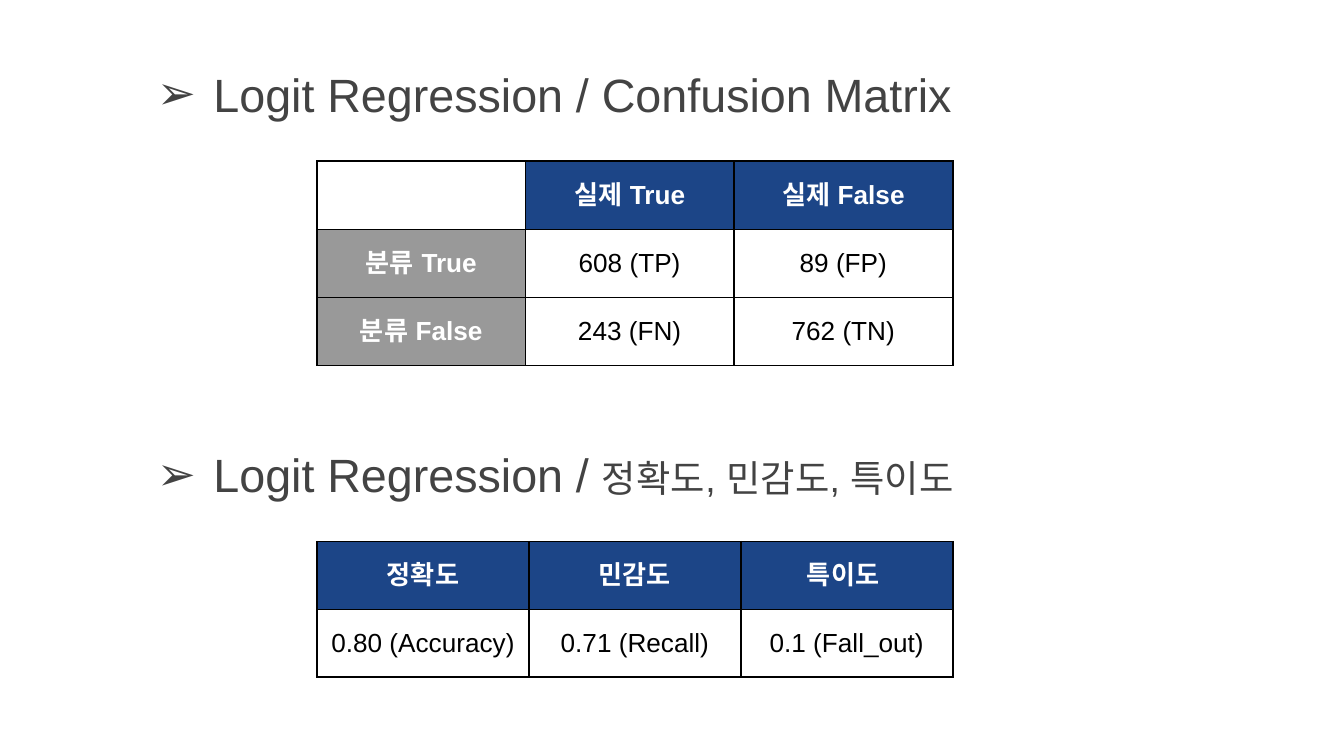
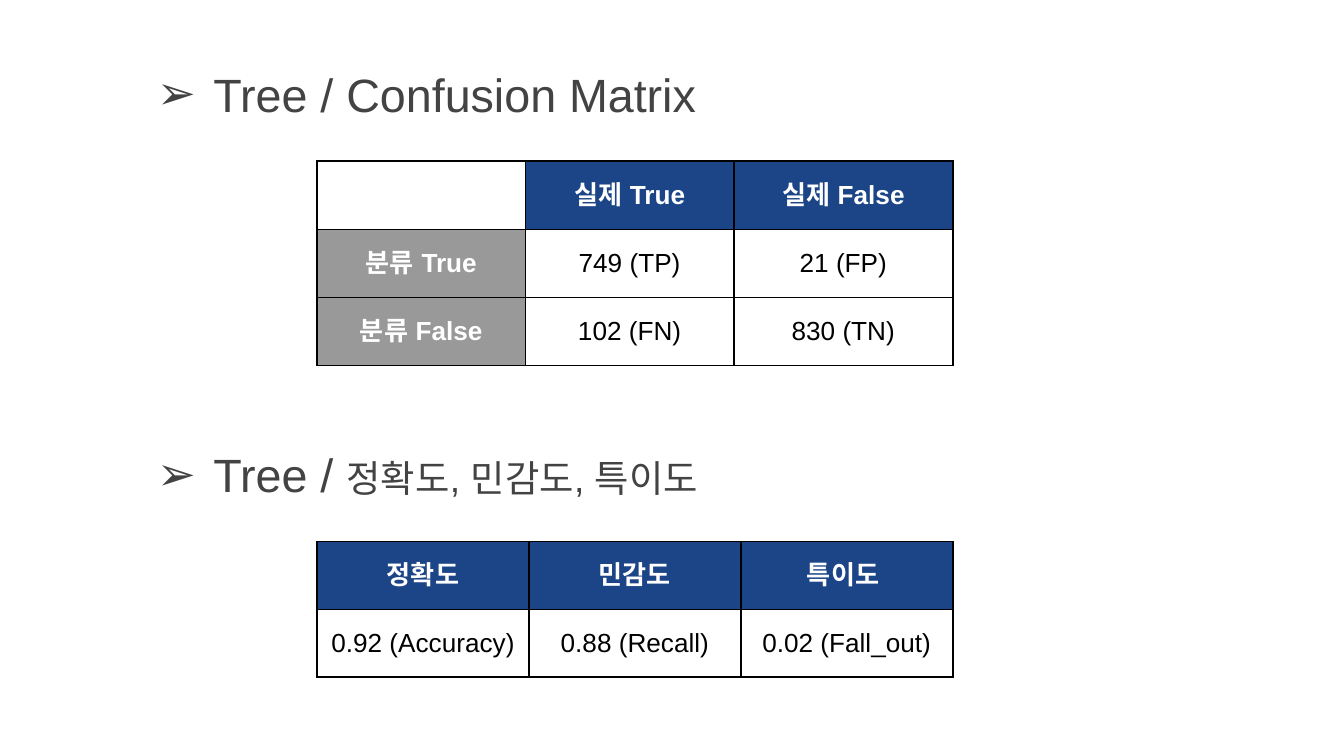
from dataclasses import dataclass

from lxml.etree import SubElement
from pptx import Presentation
from pptx.dml.color import RGBColor
from pptx.enum.text import MSO_ANCHOR, PP_ALIGN
from pptx.oxml import parse_xml
from pptx.oxml.ns import nsdecls, qn
from pptx.slide import Slide
from pptx.table import _Cell as TableCell
from pptx.text.text import Font
from pptx.util import Inches, Length, Pt


@dataclass(frozen=True)
class Theme:
    font: str = "Arial"
    heading: RGBColor = RGBColor(0x43, 0x43, 0x43)
    navy: RGBColor = RGBColor(0x1C, 0x45, 0x87)
    gray: RGBColor = RGBColor(0x99, 0x99, 0x99)
    white: RGBColor = RGBColor(0xFF, 0xFF, 0xFF)
    black: RGBColor = RGBColor(0, 0, 0)
    heading_size: Length = Pt(25)
    metrics_size: Length = Pt(20)
    cell_size: Length = Pt(14)
    border: Length = Pt(1)


THEME = Theme()


@dataclass(frozen=True)
class CellStyle:
    fill: RGBColor | None
    text: RGBColor
    bold: bool


COLUMN_HEAD = CellStyle(THEME.navy, THEME.white, True)
ROW_HEAD = CellStyle(THEME.gray, THEME.white, True)
CORNER = CellStyle(THEME.white, THEME.black, False)
VALUE = CellStyle(None, THEME.black, False)


@dataclass(frozen=True)
class Heading:
    top: Length
    width: Length
    text: str
    metrics: str = ""


@dataclass(frozen=True)
class Grid:
    top: Length
    height: Length
    column_widths: tuple[Length, ...]
    rows: list[list[str]]
    row_heads: bool = False

    def style_at(self, row: int, column: int) -> CellStyle:
        labelled = self.row_heads and column == 0
        if row == 0:
            return CORNER if labelled else COLUMN_HEAD
        return ROW_HEAD if labelled else VALUE


@dataclass(frozen=True)
class ModelResult:
    name: str
    tp: int
    fp: int
    fn: int
    tn: int
    accuracy: str
    recall: str
    fall_out: str
    metrics_width: Length


RESULTS = [
    ModelResult("Logit Regression", 608, 89, 243, 762, "0.80", "0.71", "0.1", Inches(6.6)),
    ModelResult("Tree", 749, 21, 102, 830, "0.92", "0.88", "0.02", Inches(6.84)),
]
METRICS = ["정확도", "민감도", "특이도 "]
SLIDE_WIDTH = Inches(10)
SLIDE_HEIGHT = Length(SLIDE_WIDTH * 9 // 16)
HEADING_LEFT = Inches(0.99)
GRID_LEFT = Inches(2.36)
GRID_WIDTH = Inches(4.73)


def set_font(font: Font, color: RGBColor, size: Length, bold: bool = False) -> None:
    """Style a font, using one typeface for Latin and Korean text."""
    font.name, font.size, font.bold = THEME.font, size, bold
    font.color.rgb = color
    for script in ("a:ea", "a:cs"):
        SubElement(font._rPr, qn(script)).set("typeface", THEME.font)


def add_heading(slide: Slide, heading: Heading) -> None:
    box = slide.shapes.add_textbox(HEADING_LEFT, heading.top, heading.width, Inches(0.66))
    frame = box.text_frame
    frame.word_wrap = True
    frame.margin_left = frame.margin_right = Inches(0.1)
    frame.margin_top = frame.margin_bottom = Inches(0.1)
    paragraph = frame.paragraphs[0]
    set_font(paragraph.font, THEME.heading, THEME.heading_size)
    paragraph.add_run().text = heading.text
    if heading.metrics:
        metrics = paragraph.add_run()
        metrics.text = heading.metrics
        metrics.font.size = THEME.metrics_size

    # Arrow bullet with a hanging indent
    properties = paragraph._p.get_or_add_pPr()
    properties.set("marL", str(Inches(0.5)))
    properties.set("indent", str(Inches(-0.42)))
    bullet_parts = (
        f'<a:buClr {nsdecls("a")}><a:srgbClr val="{THEME.heading}"/></a:buClr>',
        f'<a:buFont {nsdecls("a")} typeface="{THEME.font}"/>',
        f'<a:buChar {nsdecls("a")} char="➢"/>',
    )
    for position, part in enumerate(bullet_parts):
        properties.insert(position, parse_xml(part))


def add_borders(cell: TableCell) -> None:
    properties = cell._tc.get_or_add_tcPr()
    for position, side in enumerate(("lnL", "lnR", "lnT", "lnB")):
        properties.insert(position, parse_xml(
            f'<a:{side} {nsdecls("a")} w="{THEME.border}"><a:solidFill>'
            f'<a:srgbClr val="{THEME.black}"/></a:solidFill></a:{side}>'))


def fill_cell(cell: TableCell, text: str, style: CellStyle) -> None:
    cell.text = text
    cell.vertical_anchor = MSO_ANCHOR.MIDDLE
    cell.margin_left = cell.margin_right = Inches(0.07)
    cell.margin_top = cell.margin_bottom = Inches(0.07)
    if style.fill is None:
        cell.fill.background()
    else:
        cell.fill.solid()
        cell.fill.fore_color.rgb = style.fill
    paragraph = cell.text_frame.paragraphs[0]
    paragraph.alignment = PP_ALIGN.CENTER
    set_font(paragraph.font, style.text, THEME.cell_size, style.bold)
    add_borders(cell)


def add_grid(slide: Slide, grid: Grid) -> None:
    table = slide.shapes.add_table(
        len(grid.rows), len(grid.column_widths),
        GRID_LEFT, grid.top, GRID_WIDTH, grid.height).table
    table.first_row = table.horz_banding = False
    for column, width in zip(table.columns, grid.column_widths):
        column.width = width
    for r, texts in enumerate(grid.rows):
        for c, text in enumerate(texts):
            fill_cell(table.cell(r, c), text, grid.style_at(r, c))


def add_result_slide(deck: Presentation, result: ModelResult) -> None:
    slide = deck.slides.add_slide(deck.slide_layouts[6])

    # Confusion matrix
    add_heading(slide, Heading(Inches(0.39), Inches(9), f"{result.name} / Confusion Matrix"))
    add_grid(slide, Grid(
        Inches(1.2), Inches(1.52), (Inches(1.55), Inches(1.55), Inches(1.63)),
        [["", "실제 True", "실제 False"],
         ["분류 True", f"{result.tp} (TP)", f"{result.fp} (FP)"],
         ["분류 False", f"{result.fn} (FN)", f"{result.tn} (TN)"]],
        row_heads=True))

    # Accuracy, recall and fall-out
    add_heading(slide, Heading(
        Inches(3.22), result.metrics_width, f"{result.name} / ", ", ".join(METRICS)))
    add_grid(slide, Grid(
        Inches(4.03), Inches(1.01), (Length(GRID_WIDTH // 3),) * 3,
        [METRICS,
         [f"{result.accuracy} (Accuracy)", f"{result.recall} (Recall)",
          f"{result.fall_out} (Fall_out)"]]))


def main() -> None:
    deck = Presentation()
    deck.slide_width, deck.slide_height = SLIDE_WIDTH, SLIDE_HEIGHT
    for result in RESULTS:
        add_result_slide(deck, result)
    deck.save("out.pptx")


if __name__ == "__main__":
    main()
